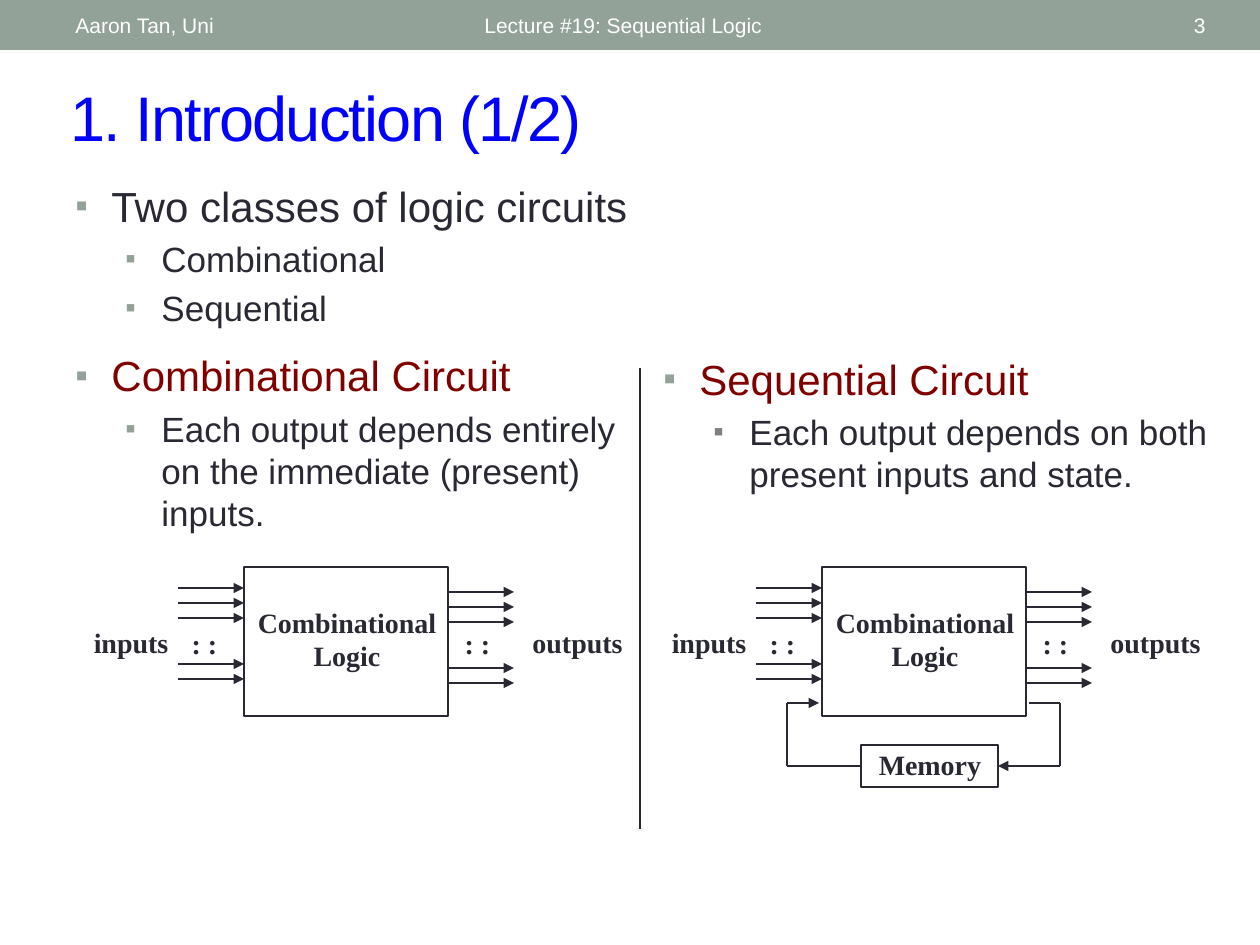
"""Build a lecture slide introducing combinational and sequential logic circuits."""
import dataclasses

import pptx
import pptx.dml.color
import pptx.enum.shapes
import pptx.enum.text
import pptx.oxml.ns
import pptx.util
from lxml import etree

ALIGN = pptx.enum.text.PP_ALIGN
ANCHOR = pptx.enum.text.MSO_ANCHOR
NO_FIT = pptx.enum.text.MSO_AUTO_SIZE.NONE


@dataclasses.dataclass(frozen=True)
class Theme:
    sans: str = "Arial"
    serif: str = "Times New Roman"
    ink: str = "292934"
    band: str = "93A299"
    grey: str = "808080"
    title: str = "0000FF"
    accent: str = "800000"
    white: str = "FFFFFF"
    title_size: int = 36
    levels: tuple = (24, 20)
    label_size: int = 16
    header_size: int = 12


T = Theme()


def px(n):
    return pptx.util.Emu(round(n * 914400 / 126))


def rgb(value):
    return pptx.dml.color.RGBColor.from_string(value)


def sub(parent, tag, **attrs):
    return etree.SubElement(parent, pptx.oxml.ns.qn(tag), attrs)


def add_par(tf, text, size, color=T.ink, font=T.sans, bold=False, align=ALIGN.LEFT, before=0):
    p = tf.paragraphs[0]
    if p.runs:
        p = tf.add_paragraph()
    p.alignment = align
    p.space_before = pptx.util.Pt(before)
    r = p.add_run()
    r.text = text
    r.font.size = pptx.util.Pt(size)
    r.font.name = font
    r.font.bold = bold
    r.font.color.rgb = rgb(color)
    return p


def add_bullet(tf, text, level=0, color=T.ink, bullet=T.band, before=0.2):
    size = T.levels[level]
    p = add_par(tf, text, size, color=color, before=size * before)
    p.level = level
    pPr = p._p.get_or_add_pPr()
    pPr.set("marL", str(px((36, 86)[level])))
    pPr.set("indent", str(-px(36)))
    sub(sub(pPr, "a:buClr"), "a:srgbClr", val=bullet)
    sub(pPr, "a:buSzPct", val="85000")
    sub(pPr, "a:buFont", typeface=T.sans)
    sub(pPr, "a:buChar", char="▪")


def add_frame(shapes, box, anchor=ANCHOR.TOP, inset=None):
    tf = shapes.add_textbox(*map(px, box)).text_frame
    tf.word_wrap = True
    tf.vertical_anchor = anchor
    if inset:
        tf.margin_left = tf.margin_right = px(inset[0])
        tf.margin_top = tf.margin_bottom = px(inset[1])
    return tf


def add_label(shapes, box, lines, inset=None):
    tf = add_frame(shapes, box, inset=inset)
    for line in lines:
        add_par(tf, line, T.label_size, font=T.serif, bold=True, align=ALIGN.CENTER)


def add_box(shapes, box, fill=None, line=None):
    sp = shapes.add_shape(pptx.enum.shapes.MSO_SHAPE.RECTANGLE, *map(px, box))
    sp.shadow.inherit = False
    if fill:
        sp.fill.solid()
        sp.fill.fore_color.rgb = rgb(fill)
    else:
        sp.fill.background()
    if line:
        sp.line.color.rgb = rgb(line)
        sp.line.width = pptx.util.Pt(1.5)
    else:
        sp.line.fill.background()


def add_line(shapes, start, end, width=1.5, arrow=False):
    kind = pptx.enum.shapes.MSO_CONNECTOR.STRAIGHT
    cx = shapes.add_connector(kind, *map(px, (*start, *end)))
    cx.line.color.rgb = rgb(T.ink)
    cx.line.width = pptx.util.Pt(width)
    if arrow:
        sub(cx.line._get_or_add_ln(), "a:tailEnd", type="triangle")
    sub(cx._element.spPr, "a:effectLst")


def add_logic(shapes, left):
    add_label(shapes, (left - 2, 599, 210, 81), ("Combinational", "Logic"))
    add_box(shapes, (left, 567, 204, 149), line=T.ink)
    for x, y in ((left - 66, 588), (left + 204, 592)):
        for dy in (0, 15, 30, 76, 91):
            add_line(shapes, (x, y + dy), (x + 66, y + dy), width=1.25, arrow=True)
    for dx in (-66, 207):
        add_label(shapes, (left + dx, 620, 53, 47), (": :",))
    for dx, width, text in ((-160, 94, "inputs"), (281, 105, "outputs")):
        add_label(shapes, (left + dx, 620, width, 47), (text,), inset=(1, 6))


def add_memory(shapes):
    add_box(shapes, (861, 745, 137, 42), line=T.ink)
    add_label(shapes, (872, 747, 116, 37), ("Memory",), inset=(1, 1))
    routes = (((1029, 703), (1060, 703), (1060, 766), (998, 766)),
              ((861, 766), (787, 766), (787, 703), (819, 703)))
    for route in routes:
        for start, end in zip(route, route[1:]):
            add_line(shapes, start, end, arrow=end == route[-1])


def add_header(shapes):
    add_box(shapes, (0, 0, 1260, 50), fill=T.band)
    for left, width, text, align in ((63, 399, "Aaron Tan, Uni", ALIGN.LEFT),
                                     (472, 567, "Lecture #19: Sequential Logic", ALIGN.LEFT),
                                     (1099, 119, "3", ALIGN.RIGHT)):
        tf = add_frame(shapes, (left, 3, width, 45), anchor=ANCHOR.MIDDLE)
        add_par(tf, text, T.header_size, color=T.white, align=align)


def set_title(sp, text):
    sp.left, sp.top, sp.width, sp.height = map(px, (58, 72, 1143, 88))
    tf = sp.text_frame
    tf.auto_size = NO_FIT
    tf.vertical_anchor = ANCHOR.MIDDLE
    p = add_par(tf, text, T.title_size, color=T.title)
    p.runs[0].font._element.set("spc", "-100")


def add_body(shapes):
    tf = add_frame(shapes, (63, 174, 609, 677))
    add_bullet(tf, "Two classes of logic circuits")
    add_bullet(tf, "Combinational", level=1)
    add_bullet(tf, "Sequential", level=1)
    add_bullet(tf, "Combinational Circuit", color=T.accent, before=0.5)
    add_bullet(tf, "Each output depends entirely on the immediate (present) inputs.", level=1)
    tf = add_frame(shapes, (651, 347, 588, 210))
    add_bullet(tf, "Sequential Circuit", color=T.accent, before=0.5)
    add_bullet(tf, "Each output depends on both present inputs and state.", level=1, bullet=T.grey)


def main():
    prs = pptx.Presentation()
    prs.slide_width, prs.slide_height = px(1260), px(945)
    slide = prs.slides.add_slide(prs.slide_layouts[5])
    shapes = slide.shapes
    add_header(shapes)
    set_title(shapes.title, "1. Introduction (1/2)")
    add_body(shapes)
    add_line(shapes, (640, 368), (640, 829), width=0.75)
    add_logic(shapes.add_group_shape().shapes, 244)
    sequential = shapes.add_group_shape().shapes
    add_logic(sequential, 822)
    add_memory(sequential)
    prs.save("out.pptx")


main()
